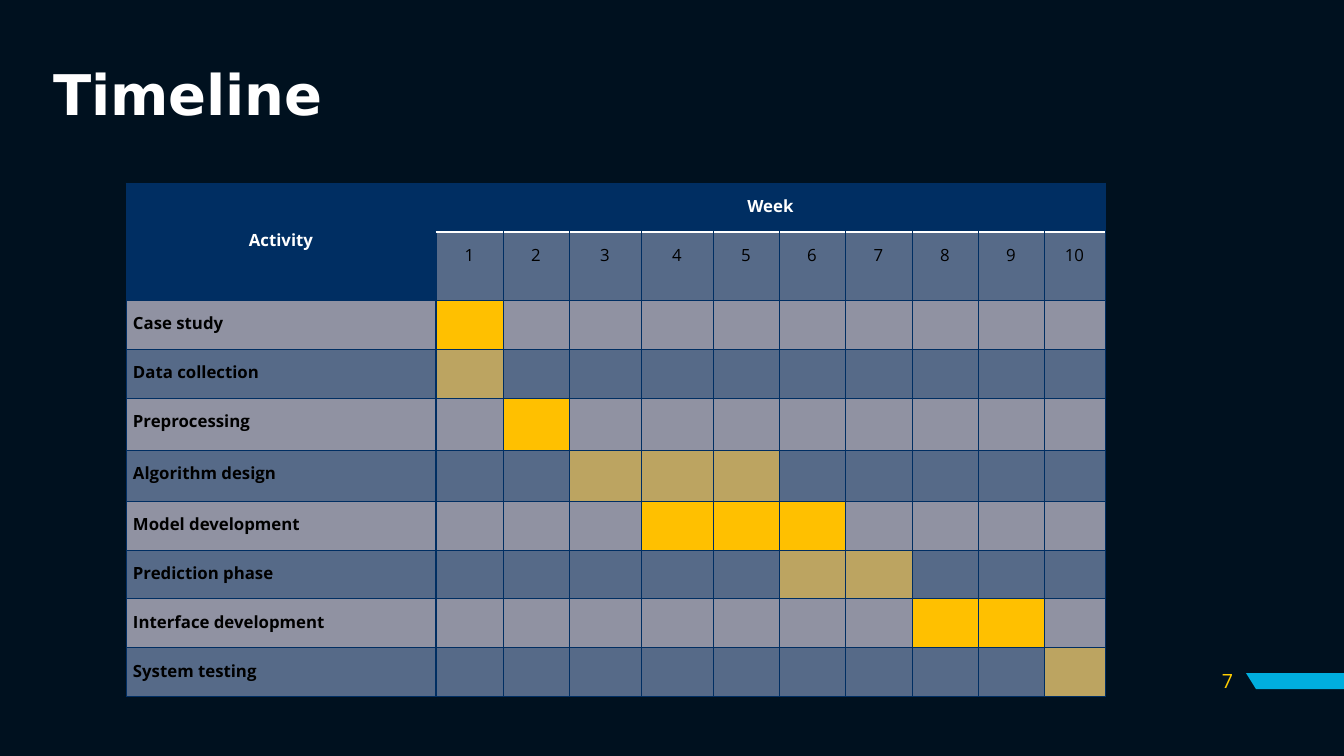
from lxml.etree import SubElement
from pptx import Presentation
from pptx.dml.color import RGBColor
from pptx.enum.text import MSO_ANCHOR as Anchor, MSO_AUTO_SIZE as AutoSize, PP_ALIGN as Align
from pptx.oxml.ns import qn
from pptx.util import Emu, Pt

EMU_PER_PX = 914400 / 100.8
COLORS = {
    "background": "00111F", "white": "FFFFFF", "black": "000000",
    "navy": "002E62", "cyan": "00AEDE", "number": "FFCD00",
    "grey_row": "9092A2", "blue_row": "566A88",
    "grey_row_bar": "FFC000", "blue_row_bar": "BCA461",
}
BODY_FONT = "Open Sans"

# Each activity with its first and last week
ACTIVITIES = [
    ("Case study", 1, 1),
    ("Data collection", 1, 1),
    ("Preprocessing", 2, 2),
    ("Algorithm design", 3, 5),
    ("Model development", 4, 6),
    ("Prediction phase", 6, 7),
    ("Interface development", 8, 9),
    ("System testing", 10, 10),
]
COLUMN_WIDTHS = [310, 67, 66, 72, 72, 66, 66, 67, 66, 66, 61]
ROW_HEIGHTS = [49, 68, 49, 49, 52, 51, 49, 49, 49, 49]


def px(length):
    return Emu(round(length * EMU_PER_PX))


def format_cell(cell, text, fill, color="black", bold=False, align=Align.CENTER, **edges):
    """Write and colour a cell; edges override the thin navy border."""
    cell.margin_left = cell.margin_right = px(7)
    cell.margin_top = cell.margin_bottom = 0
    cell.vertical_anchor = Anchor.TOP
    cell.text = text
    paragraph = cell.text_frame.paragraphs[0]
    paragraph.alignment = align
    paragraph.line_spacing = 1.5
    font = paragraph.font
    font.name, font.size, font.bold = BODY_FONT, Pt(12), bold
    font.color.rgb = RGBColor.from_string(COLORS[color])
    properties = cell._tc.get_or_add_tcPr()
    for side in ("L", "R", "T", "B"):
        edge_color, points = edges.get(side, ("navy", 0.5))
        line = SubElement(properties, qn(f"a:ln{side}"), w=str(Pt(points)))
        SubElement(SubElement(line, qn("a:solidFill")), qn("a:srgbClr"), val=COLORS[edge_color])
    cell.fill.solid()
    cell.fill.fore_color.rgb = RGBColor.from_string(COLORS[fill])


presentation = Presentation()
presentation.slide_width, presentation.slide_height = px(1344), px(756)
slide = presentation.slides.add_slide(presentation.slide_layouts[5])
slide.background.fill.solid()
slide.background.fill.fore_color.rgb = RGBColor.from_string(COLORS["background"])

# Accent at the right edge
builder = slide.shapes.build_freeform(1344, 673, scale=EMU_PER_PX)
builder.add_line_segments([(1344, 689), (1256, 689), (1246, 673)], close=True)
accent = builder.convert_to_shape()
accent.shadow.inherit = False
accent.fill.solid()
accent.fill.fore_color.rgb = RGBColor.from_string(COLORS["cyan"])
accent.line.fill.background()

# Title
title = slide.shapes.title
title.left, title.top, title.width, title.height = px(43), px(54), px(1159), px(87)
title.text_frame.text = "Timeline"
title.text_frame.auto_size = AutoSize.NONE
title.text_frame.vertical_anchor = Anchor.MIDDLE
paragraph = title.text_frame.paragraphs[0]
paragraph.alignment = Align.LEFT
paragraph.line_spacing = 0.9
paragraph.font.name, paragraph.font.size, paragraph.font.bold = "DejaVu Sans", Pt(40), True
paragraph.font.color.rgb = RGBColor.from_string(COLORS["white"])

# Slide number
number = slide.shapes.add_textbox(px(1182), px(661), px(61), px(40))
number.text_frame.word_wrap = True
number.text_frame.vertical_anchor = Anchor.MIDDLE
number.text_frame.text = "7"
paragraph = number.text_frame.paragraphs[0]
paragraph.alignment = Align.RIGHT
paragraph.font.name, paragraph.font.size = BODY_FONT, Pt(14)
paragraph.font.color.rgb = RGBColor.from_string(COLORS["number"])

# Timeline table
table = slide.shapes.add_table(
    len(ROW_HEIGHTS), len(COLUMN_WIDTHS), px(126), px(183),
    px(sum(COLUMN_WIDTHS)), px(sum(ROW_HEIGHTS))).table
table.horz_banding = False
for column, width in zip(table.columns, COLUMN_WIDTHS):
    column.width = px(width)
for row, height in zip(table.rows, ROW_HEIGHTS):
    row.height = px(height)

# Header rows
weeks = range(1, len(COLUMN_WIDTHS))
white_rule = ("white", 1)
for row in (0, 1):
    format_cell(table.cell(row, 0), "" if row else "Activity", "navy", "white", True)
for week in weeks:
    format_cell(table.cell(0, week), "Week" if week == 1 else "", "navy", "white", True, B=white_rule)
    format_cell(table.cell(1, week), str(week), "blue_row", T=white_rule)
table.cell(0, 0).merge(table.cell(1, 0))
table.cell(0, 0).margin_top = px(34)
table.cell(0, 1).merge(table.cell(0, weeks[-1]))

# Activity rows
for index, (activity, first, last) in enumerate(ACTIVITIES):
    row = index + 2
    band = "blue_row" if index % 2 else "grey_row"
    format_cell(table.cell(row, 0), activity, band, bold=True, align=Align.JUSTIFY, R=("navy", 1))
    for week in weeks:
        fill = f"{band}_bar" if first <= week <= last else band
        format_cell(table.cell(row, week), "", fill)

presentation.save("out.pptx")
